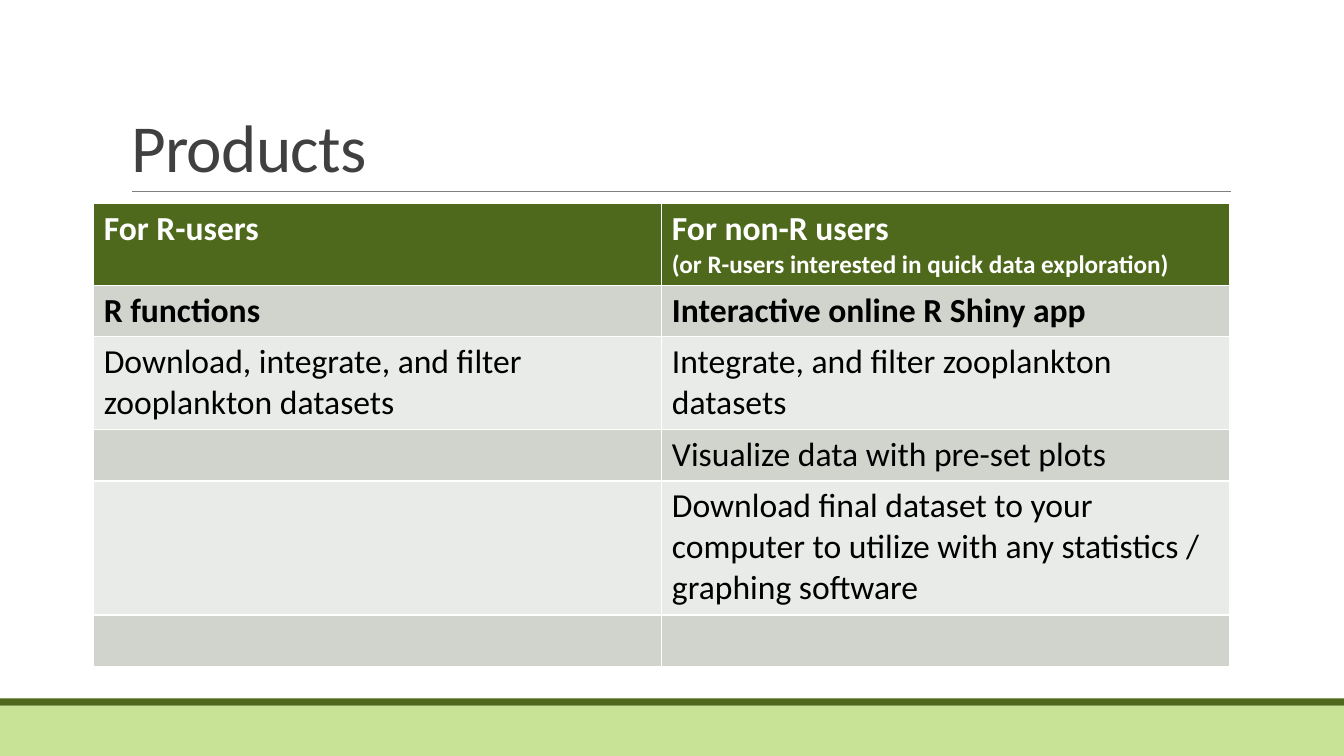
from lxml import etree
from pptx import Presentation
from pptx import util as u
from pptx.dml.color import RGBColor
from pptx.enum import shapes, text
from pptx.oxml.ns import qn

WIDE, HIGH = u.Inches(13.33), u.Inches(7.5)
FONT = "Calibri"
WHITE = RGBColor(0xFF, 0xFF, 0xFF)
BLACK = RGBColor(0, 0, 0)
SLATE = RGBColor(0x40, 0x40, 0x40)
GREY = RGBColor(0x80, 0x80, 0x80)
LIME = RGBColor(0xC8, 0xE3, 0x95)
MOSS = RGBColor(0x4E, 0x69, 0x1B)
BANDS = RGBColor(0xE9, 0xEB, 0xE8), RGBColor(0xD0, 0xD4, 0xCD)

HEAD = [
    [("For R-users", 24)],
    [("For non-R users", 24),
     ("(or R-users interested in quick data exploration)", 18)],
]
BODY = [
    ("R functions", "Interactive online R Shiny app"),
    ("Download, integrate, and filter zooplankton datasets",
     "Integrate, and filter zooplankton datasets"),
    ("", "Visualize data with pre-set plots"),
    ("", "Download final dataset to your computer to utilize with any "
         "statistics / graphing software"),
    ("", ""),
]
LINES = [1, 2, 1, 3, 1]


def add_run(para, words, size, color, bold=False):
    """Add one styled run to a paragraph and return it."""
    run = para.add_run()
    run.text = words
    font = run.font
    font.name, font.size, font.bold = FONT, u.Pt(size), bold
    font.color.rgb = color
    return run


def add_band(slide, top, high, color):
    """Add a full-width band; top and height are in inches."""
    band = slide.shapes.add_shape(shapes.MSO_SHAPE.RECTANGLE, 0,
                                  u.Inches(top), WIDE, u.Inches(high))
    band.shadow.inherit = False
    band.fill.solid()
    band.fill.fore_color.rgb = color
    band.line.fill.background()


def add_rule(slide, left, right, top):
    """Add the thin line under the title."""
    rule = slide.shapes.add_connector(
        shapes.MSO_CONNECTOR.STRAIGHT, u.Inches(left), u.Inches(top),
        u.Inches(right), u.Inches(top))
    rule.line.color.rgb = GREY
    rule.line.width = u.Pt(0.5)
    etree.SubElement(rule._element.spPr, qn("a:effectLst"))


def set_title(slide, words):
    """Place and fill the title."""
    title = slide.shapes.title
    title.left, title.top = u.Inches(1.2), u.Inches(0.31)
    title.width, title.height = u.Inches(11), u.Inches(1.59)
    frame = title.text_frame
    frame.word_wrap = True
    frame.auto_size = text.MSO_AUTO_SIZE.NONE
    frame.vertical_anchor = text.MSO_ANCHOR.BOTTOM
    para = frame.paragraphs[0]
    para.alignment = text.PP_ALIGN.LEFT
    para.line_spacing = 0.85
    run = add_run(para, words, 48, SLATE)
    run._r.get_or_add_rPr().set("spc", "-50")


def fill_cell(cell, lines, fill, color, bold):
    """Colour a cell and write its lines of text and size."""
    cell.fill.solid()
    cell.fill.fore_color.rgb = fill
    frame = cell.text_frame
    for i, (words, size) in enumerate(lines):
        para = frame.add_paragraph() if i else frame.paragraphs[0]
        if words:
            add_run(para, words, size, color, bold)


def add_grid(slide):
    """Add the table, with row heights that follow the lines of text."""
    highs = [0.81] + [0.1 + 0.41 * n for n in LINES]
    grid = slide.shapes.add_table(
        len(highs), len(HEAD), u.Inches(0.93), u.Inches(2.02),
        u.Inches(11.27), u.Inches(sum(highs))).table
    for row, high in zip(grid.rows, highs):
        row.height = u.Inches(high)
    for col, lines in enumerate(HEAD):
        fill_cell(grid.cell(0, col), lines, MOSS, WHITE, True)
    for row, pair in enumerate(BODY, 1):
        for col, words in enumerate(pair):
            fill_cell(grid.cell(row, col), [(words, 24)],
                      BANDS[row % 2], BLACK, row == 1)


def main():
    """Build and save the slide."""
    deck = Presentation()
    deck.slide_width, deck.slide_height = WIDE, HIGH
    slide = deck.slides.add_slide(deck.slide_layouts[5])
    add_band(slide, 7, 0.5, LIME)
    add_band(slide, 6.93, 0.07, MOSS)
    add_rule(slide, 1.31, 12.21, 1.9)
    set_title(slide, "Products")
    add_grid(slide)
    deck.save("out.pptx")


if __name__ == "__main__":
    main()
